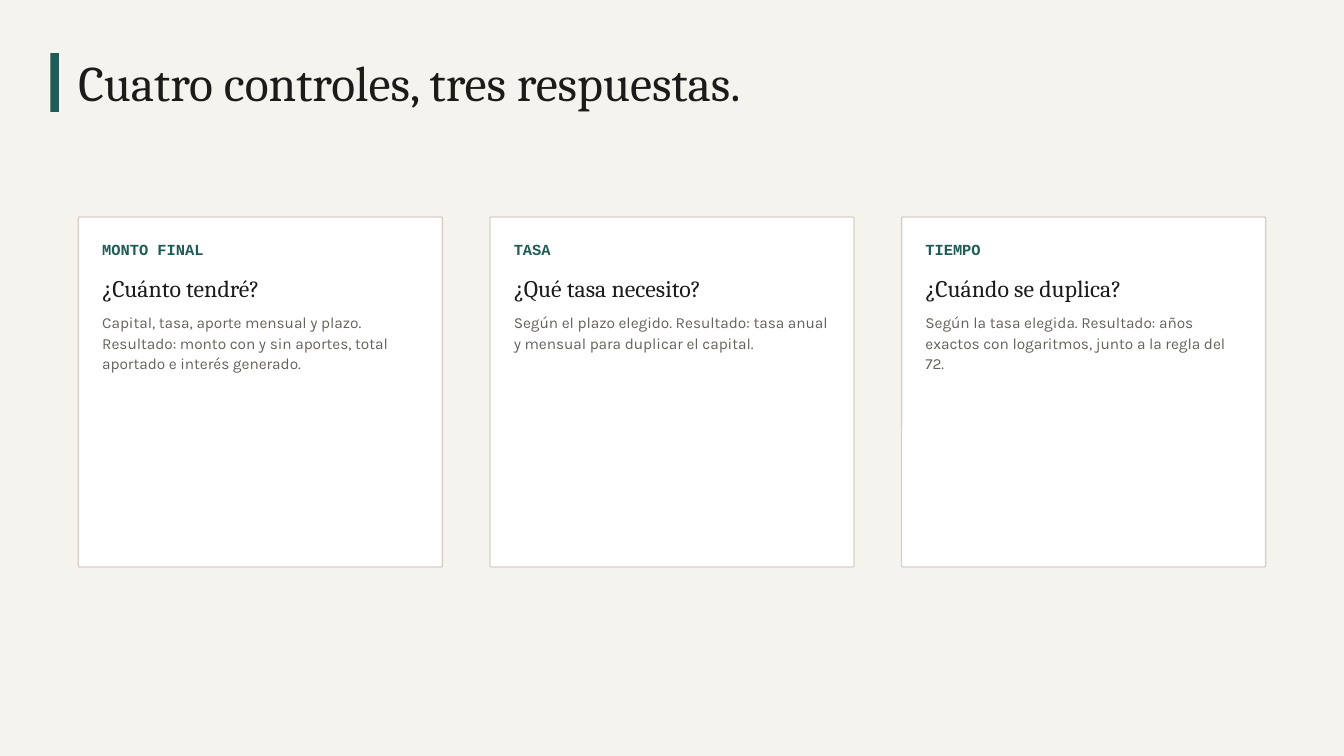
from pptx import Presentation
from pptx.dml.color import RGBColor
from pptx.enum.shapes import MSO_SHAPE
from pptx.enum.text import MSO_ANCHOR, MSO_AUTO_SIZE, PP_ALIGN
from pptx.util import Pt

PAPER = RGBColor(0xF5, 0xF3, 0xEE)
WHITE = RGBColor(0xFF, 0xFF, 0xFF)
BORDER = RGBColor(0xD7, 0xD1, 0xC7)
GREEN = RGBColor(0x1F, 0x5C, 0x57)
INK = RGBColor(0x1C, 0x1B, 0x19)
GRAY = RGBColor(0x66, 0x61, 0x5B)

TITLE = {"name": "Cambria", "size": Pt(53.2), "bold": False}
LABEL = {"name": "Courier New", "size": Pt(16.5), "bold": True}
QUESTION = {"name": "Cambria", "size": Pt(25.5), "bold": False}
BODY = {"name": "Karla", "size": Pt(16.5), "bold": False}

CARDS = [
    ("MONTO FINAL", "¿Cuánto tendré?",
     "Capital, tasa, aporte mensual y plazo. Resultado: monto con y sin aportes, "
     "total aportado e interés generado."),
    ("TASA", "¿Qué tasa necesito?",
     "Según el plazo elegido. Resultado: tasa anual y mensual para duplicar el capital."),
    ("TIEMPO", "¿Cuándo se duplica?",
     "Según la tasa elegida. Resultado: años exactos con logaritmos, "
     "junto a la regla del 72."),
]
ROWS = [
    (254.25, 21.75, 23.1, LABEL, GREEN),
    (288, 33, 35.7, QUESTION, INK),
    (332.75, 64.5, 22.3, BODY, GRAY),
]
CARD_LEFT, CARD_TOP, CARD_W, CARD_H = 84, 232.5, 390, 375
CARD_STEP, PAD, RADIUS = 441, 25.5, 1.5


def write(sp, text, spacing, font, color):
    tf = sp.text_frame
    frame = {"margin_left": 0, "margin_right": 0, "margin_top": 0, "margin_bottom": 0,
             "word_wrap": True, "vertical_anchor": MSO_ANCHOR.TOP,
             "auto_size": MSO_AUTO_SIZE.SHAPE_TO_FIT_TEXT}
    for key, value in frame.items():
        setattr(tf, key, value)
    p = tf.paragraphs[0]
    p.alignment = PP_ALIGN.LEFT
    p.line_spacing = Pt(spacing)
    p.space_before = Pt(0)
    r = p.add_run()
    r.text = text
    for key, value in font.items():
        setattr(r.font, key, value)
    r.font.color.rgb = color


def add_box(kind, left, top, width, height, fill):
    sp = s.shapes.add_shape(kind, Pt(left), Pt(top), Pt(width), Pt(height))
    sp.shadow.inherit = False
    sp.fill.solid()
    sp.fill.fore_color.rgb = fill
    return sp


prs = Presentation()
prs.slide_width, prs.slide_height = Pt(1440), Pt(810)
s = prs.slides.add_slide(prs.slide_layouts[5])
s.background.fill.solid()
s.background.fill.fore_color.rgb = PAPER

title = s.shapes.title
title.left, title.top, title.width, title.height = Pt(84), Pt(63), Pt(937.5), Pt(57.5)
write(title, "Cuatro controles, tres respuestas.", 55.9, TITLE, INK)

bar = add_box(MSO_SHAPE.RECTANGLE, 54, 57, 9, 63, GREEN)
bar.line.fill.background()

for i, texts in enumerate(CARDS):
    left = CARD_LEFT + i * CARD_STEP
    card = add_box(MSO_SHAPE.ROUNDED_RECTANGLE, left, CARD_TOP, CARD_W, CARD_H, WHITE)
    card.adjustments[0] = RADIUS / CARD_H
    card.line.color.rgb = BORDER
    card.line.width = Pt(1.5)
    for text, (top, height, spacing, font, color) in zip(texts, ROWS):
        tb = s.shapes.add_textbox(Pt(left + PAD), Pt(top), Pt(CARD_W - 2 * PAD), Pt(height))
        write(tb, text, spacing, font, color)

prs.save("out.pptx")
